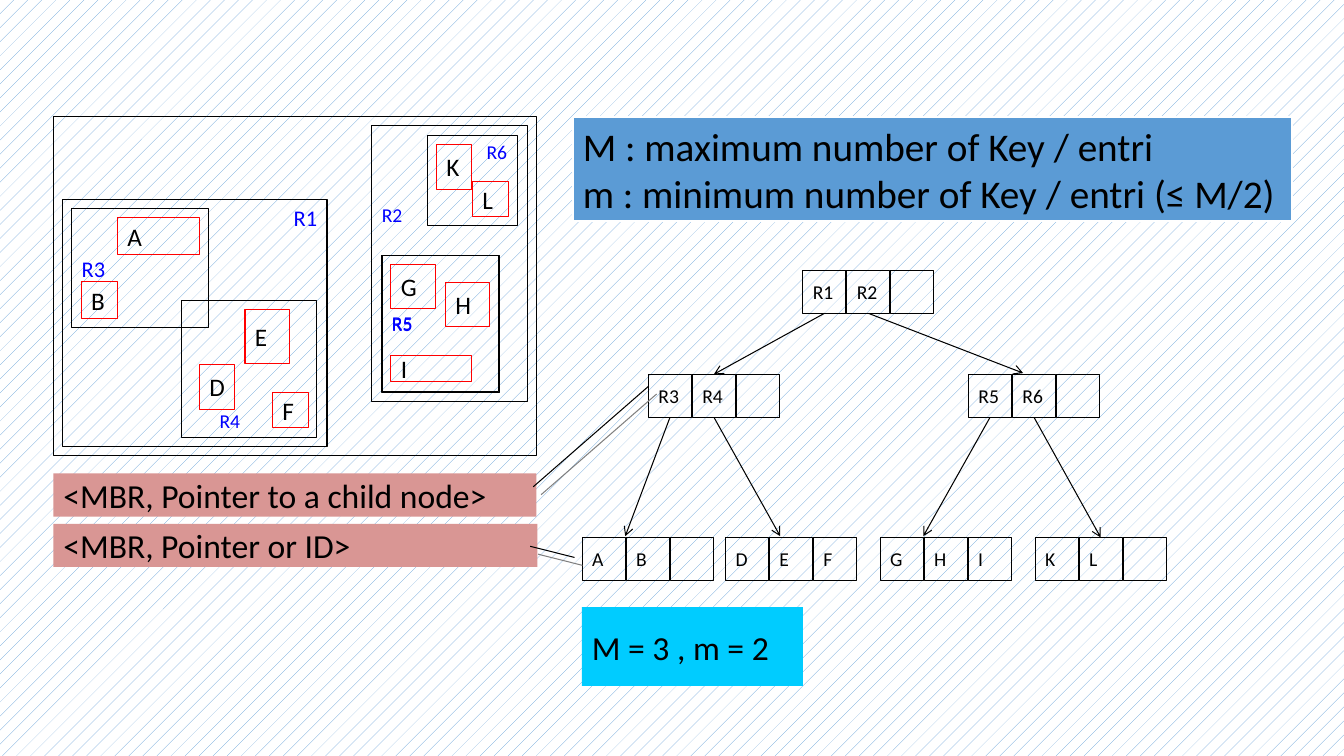
from dataclasses import dataclass

from lxml import etree
from pptx import Presentation
from pptx.dml.color import RGBColor
from pptx.enum.dml import MSO_PATTERN
from pptx.enum.shapes import MSO_CONNECTOR, MSO_SHAPE
from pptx.enum.text import MSO_ANCHOR, PP_ALIGN
from pptx.oxml.ns import qn
from pptx.util import Pt

RECT, STRAIGHT = MSO_SHAPE.RECTANGLE, MSO_CONNECTOR.STRAIGHT
TOP, MIDDLE, BOTTOM = MSO_ANCHOR.TOP, MSO_ANCHOR.MIDDLE, MSO_ANCHOR.BOTTOM
LEFT, RIGHT = PP_ALIGN.LEFT, PP_ALIGN.RIGHT
DOTS = MSO_PATTERN.PERCENT_5
SIDE_TOP, SIDE_BOTTOM = 0, 2


@dataclass(frozen=True)
class Theme:
    font: str = "Calibri"
    black: str = "000000"
    white: str = "FFFFFF"
    label: str = "0000FF"
    entry: str = "FF0000"
    accent: str = "5B9BD5"
    pointer: str = "D99694"
    example: str = "00CCFF"
    shadow: str = "808080"
    small: int = 14
    medium: int = 16
    body: int = 18
    large: int = 24
    title: int = 28


T = Theme()
CELL, PITCH = 30.8, 31.4
INSET_X, INSET_Y = 7.2, 3.6

REGIONS = [
    ("R1", 44.9, 142.5, 188.7, 176.2, T.medium, TOP, RIGHT, 0, 0),
    ("R3", 51.3, 149, 97.4, 85, T.medium, MIDDLE, LEFT, 0, 0),
    ("R4", 129.4, 214.6, 96.9, 97.6, T.small, BOTTOM, LEFT, 20.3, 0),
    ("R6", 305.3, 96.5, 64.1, 64.8, T.small, TOP, RIGHT, 0, 0),
    ("R5", 272.9, 182.2, 84.2, 97.9, T.small, MIDDLE, LEFT, 0, 0),
    ("R2", 265.7, 90, 110.9, 196.6, T.small, TOP, LEFT, 0, 51.3),
    ("R5", 272.9, 182.2, 83.5, 97.2, T.small, MIDDLE, LEFT, 0, 0),
]
ENTRIES = [
    ("A", 84, 155.5, 58.5, 26),
    ("B", 58, 201.3, 26, 26),
    ("E", 175, 221, 31.5, 38.9),
    ("F", 194.6, 280.1, 25.5, 25.5),
    ("D", 142.4, 260.3, 25.2, 32),
    ("L", 337.5, 129.6, 25.5, 25.2),
    ("K", 311.7, 103, 25.2, 32.3),
    ("I", 279.2, 254, 57.8, 18.7),
    ("H", 318.2, 201.6, 31.7, 31.7),
    ("G", 279.2, 188.6, 31.7, 32),
]
NODES = [
    (573.5, 193, ["R1", "R2", ""]),
    (463.2, 267.3, ["R3", "R4", ""]),
    (691.8, 267.3, ["R5", "R6", ""]),
    (415.9, 383.9, ["A", "B", ""]),
    (518.3, 383.9, ["D", "E", "F"]),
    (628.7, 383.9, ["G", "H", "I"]),
    (739.4, 383.9, ["K", "L", ""]),
]


def rgb(value):
    return RGBColor.from_string(value)


def box(s, x, y, w, h, lines=(), size=T.body, color=T.black, fill=None, line=T.black,
        width=0.75, anchor=MIDDLE, align=LEFT, dx=0, dy=0):
    sp = s.shapes.add_shape(RECT, Pt(x), Pt(y), Pt(w), Pt(h))
    sp.shadow.inherit = False
    if fill:
        sp.fill.solid()
        sp.fill.fore_color.rgb = rgb(fill)
    else:
        sp.fill.background()
    if line:
        sp.line.color.rgb = rgb(line)
        sp.line.width = Pt(width)
    else:
        sp.line.fill.background()
    tf = sp.text_frame
    tf.word_wrap = True
    tf.vertical_anchor = anchor
    tf.margin_left, tf.margin_right = Pt(INSET_X + dx), Pt(INSET_X)
    tf.margin_top, tf.margin_bottom = Pt(INSET_Y + dy), Pt(INSET_Y)
    for i, text in enumerate(lines):
        p = tf.add_paragraph() if i else tf.paragraphs[0]
        p.text = text
        p.alignment = align
        p.font.name = T.font
        p.font.size = Pt(size)
        p.font.color.rgb = rgb(color)
    return sp


def node(s, x, y, keys):
    return [box(s, x + i * PITCH, y, CELL, CELL, [key] if key else [], T.small)
            for i, key in enumerate(keys)]


def connector(s, x1, y1, x2, y2):
    cn = s.shapes.add_connector(STRAIGHT, Pt(x1), Pt(y1), Pt(x2), Pt(y2))
    cn.line.color.rgb = rgb(T.black)
    cn.line.width = Pt(0.75)
    effects = etree.SubElement(cn.element.spPr, qn("a:effectLst"))
    return cn, effects


def arrow(s, parent, x, y, child=None):
    cn, _ = connector(s, 0, 0, x, y)
    cn.begin_connect(parent, SIDE_BOTTOM)
    if child is not None:
        cn.end_connect(child, SIDE_TOP)
    ln = cn.element.spPr.find(qn("a:ln"))
    etree.SubElement(ln, qn("a:tailEnd"), type="arrow")


def callout(s, x1, y1, x2, y2):
    _, effects = connector(s, x1, y1, x2, y2)
    shadow = etree.SubElement(effects, qn("a:outerShdw"), dist=str(Pt(8)),
                              dir="2700000", algn="ctr", rotWithShape="0")
    etree.SubElement(shadow, qn("a:srgbClr"), val=T.shadow)


def background(s):
    fill = s.background.fill
    fill.patterned()
    fill.pattern = DOTS
    fill.fore_color.rgb = rgb(T.accent)
    fill.back_color.rgb = rgb(T.white)


def main():
    prs = Presentation()
    prs.slide_width, prs.slide_height = Pt(960), Pt(540)
    s = prs.slides.add_slide(prs.slide_layouts[6])
    background(s)

    box(s, 38.2, 83.4, 345, 242.2)
    for name, x, y, w, h, size, anchor, align, dx, dy in REGIONS:
        box(s, x, y, w, h, [name], size, T.label, anchor=anchor, align=align, dx=dx, dy=dy)
    for name, x, y, w, h in ENTRIES:
        box(s, x, y, w, h, [name], line=T.entry)

    root, left, right, _, _, _, leaf_kl = [node(s, *n) for n in NODES]
    arrow(s, root[0], 510, 266.5, left[1])
    arrow(s, root[1], 730.8, 266.5)
    arrow(s, left[0], 446.6, 383)
    arrow(s, left[1], 557.3, 383)
    arrow(s, right[0], 659.5, 383)
    arrow(s, right[1], 786.2, 383, leaf_kl[1])

    box(s, 409.2, 83.9, 513.8, 73.8,
        ["M : maximum number of Key / entri", "m : minimum number of Key / entri (≤ M/2)"],
        T.title, fill=T.accent, line=T.white, width=1.5, anchor=TOP)
    box(s, 38.2, 338.2, 345, 30.8, ["<MBR, Pointer to a child node>"], T.large,
        fill=T.pointer, line=None)
    box(s, 38.2, 374.2, 345.6, 30.8, ["<MBR, Pointer or ID>"], T.large,
        fill=T.pointer, line=None)
    box(s, 415.7, 433.7, 157.8, 56.2, ["M = 3 , m = 2"], T.large, fill=T.example, line=None)
    callout(s, 463.4, 275.8, 380.9, 347.7)
    callout(s, 410.4, 398.2, 378.7, 390.2)

    prs.save("out.pptx")


if __name__ == "__main__":
    main()
